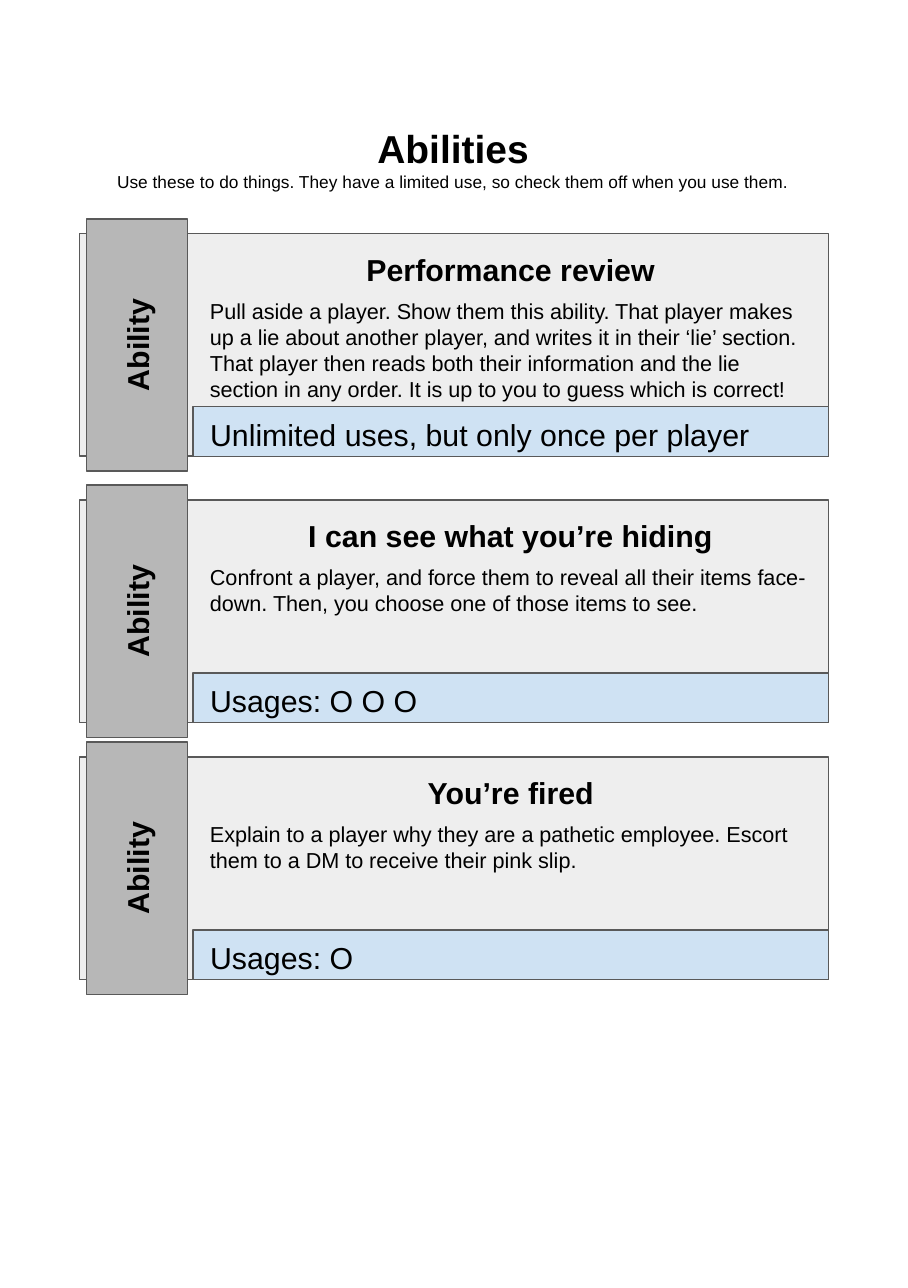
from dataclasses import dataclass

from pptx import Presentation
from pptx.dml.color import RGBColor
from pptx.enum.shapes import MSO_SHAPE
from pptx.enum.text import MSO_ANCHOR, PP_ALIGN
from pptx.util import Inches, Pt


@dataclass(frozen=True)
class Theme:
    font: str = "Arial"
    text: str = "000000"
    card: str = "EEEEEE"
    tab: str = "B7B7B7"
    usage: str = "CFE2F3"
    outline: str = "595959"
    outline_width: float = 0.75
    title_size: int = 18
    heading_size: int = 14
    body_size: int = 10
    note_size: int = 8
    inset: float = 0.1


class AbilitySheet:
    def __init__(self, slide, theme):
        self.slide = slide
        self.theme = theme

    def add_lines(self, shape, lines, align=PP_ALIGN.LEFT, anchor=MSO_ANCHOR.TOP):
        """Fill a shape with lines of (text, size, bold)."""
        frame = shape.text_frame
        frame.word_wrap = True
        frame.vertical_anchor = anchor
        inset = Inches(self.theme.inset)
        frame.margin_left = frame.margin_right = inset
        frame.margin_top = frame.margin_bottom = inset
        for index, (text, size, bold) in enumerate(lines):
            paragraph = frame.add_paragraph() if index else frame.paragraphs[0]
            paragraph.alignment = align
            run = paragraph.add_run()
            run.text = text
            run.font.name = self.theme.font
            run.font.size = Pt(size)
            run.font.bold = bold
            run.font.color.rgb = RGBColor.from_string(self.theme.text)

    def add_text(self, shapes, box, lines, align=PP_ALIGN.LEFT):
        shape = shapes.add_textbox(*map(Inches, box))
        self.add_lines(shape, lines, align)

    def add_panel(self, shapes, kind, box, fill):
        shape = shapes.add_shape(kind, *map(Inches, box))
        shape.shadow.inherit = False
        for index in range(len(shape.adjustments)):
            shape.adjustments[index] = 0
        shape.fill.solid()
        shape.fill.fore_color.rgb = RGBColor.from_string(fill)
        shape.line.color.rgb = RGBColor.from_string(self.theme.outline)
        shape.line.width = Pt(self.theme.outline_width)
        return shape

    def add_ability(self, top, name, description, usage):
        theme = self.theme
        shapes = self.slide.shapes.add_group_shape().shapes

        # Card background
        self.add_panel(shapes, MSO_SHAPE.ROUNDED_RECTANGLE,
                       (0.51, top, 4.81, 1.43), theme.card)

        # Upright tab, turned about its centre
        tab = self.add_panel(shapes, MSO_SHAPE.ROUND_2_SAME_RECTANGLE,
                             (0.07, top + 0.39, 1.62, 0.65), theme.tab)
        tab.rotation = 270
        self.add_lines(tab, [("Ability", theme.heading_size, True)],
                       PP_ALIGN.CENTER, MSO_ANCHOR.MIDDLE)

        # Name and description
        self.add_text(shapes, (1.25, top + 0.01, 4.06, 0.42),
                      [(name, theme.heading_size, True)], PP_ALIGN.CENTER)
        self.add_text(shapes, (1.25, top + 0.31, 4.06, 0.46),
                      [(description, theme.body_size, False)])

        # Usage bar
        self.add_panel(shapes, MSO_SHAPE.ROUND_1_RECTANGLE,
                       (1.24, top + 1.11, 4.08, 0.32), theme.usage)
        self.add_text(shapes, (1.25, top + 1.07, 3.98, 0.42),
                      [(usage, theme.heading_size, False)])


ABILITIES = [
    (1.5, "Performance review",
     "Pull aside a player. Show them this ability. That player makes up a lie "
     "about another player, and writes it in their ‘lie’ section. That player "
     "then reads both their information and the lie section in any order. It "
     "is up to you to guess which is correct!",
     "Unlimited uses, but only once per player"),
    (3.21, "I can see what you’re hiding",
     "Confront a player, and force them to reveal all their items face-down. "
     "Then, you choose one of those items to see.",
     "Usages: O O O"),
    (4.86, "You’re fired",
     "Explain to a player why they are a pathetic employee. Escort them to a "
     "DM to receive their pink slip.",
     "Usages: O"),
]


def main():
    presentation = Presentation()
    presentation.slide_width = Inches(5.83)
    presentation.slide_height = Inches(8.27)
    slide = presentation.slides.add_slide(presentation.slide_layouts[6])
    theme = Theme()
    sheet = AbilitySheet(slide, theme)

    # Sheet heading
    sheet.add_text(slide.shapes, (0.23, 0.7, 5.36, 0.91), [
        ("Abilities", theme.title_size, True),
        ("Use these to do things. They have a limited use, so check them off "
         "when you use them.", theme.note_size, False),
    ], PP_ALIGN.CENTER)

    # Ability cards
    for ability in ABILITIES:
        sheet.add_ability(*ability)

    presentation.save("out.pptx")


if __name__ == "__main__":
    main()
